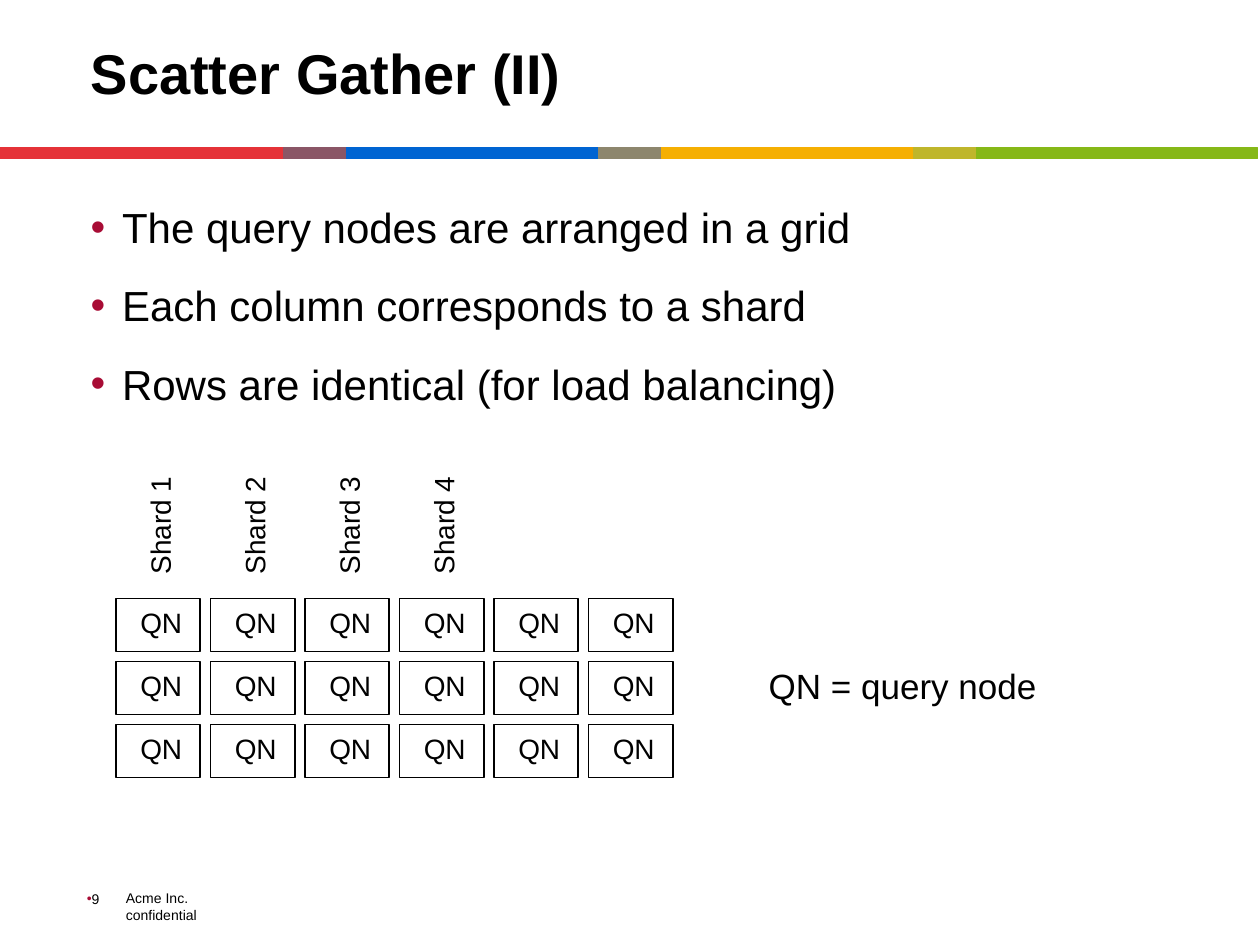
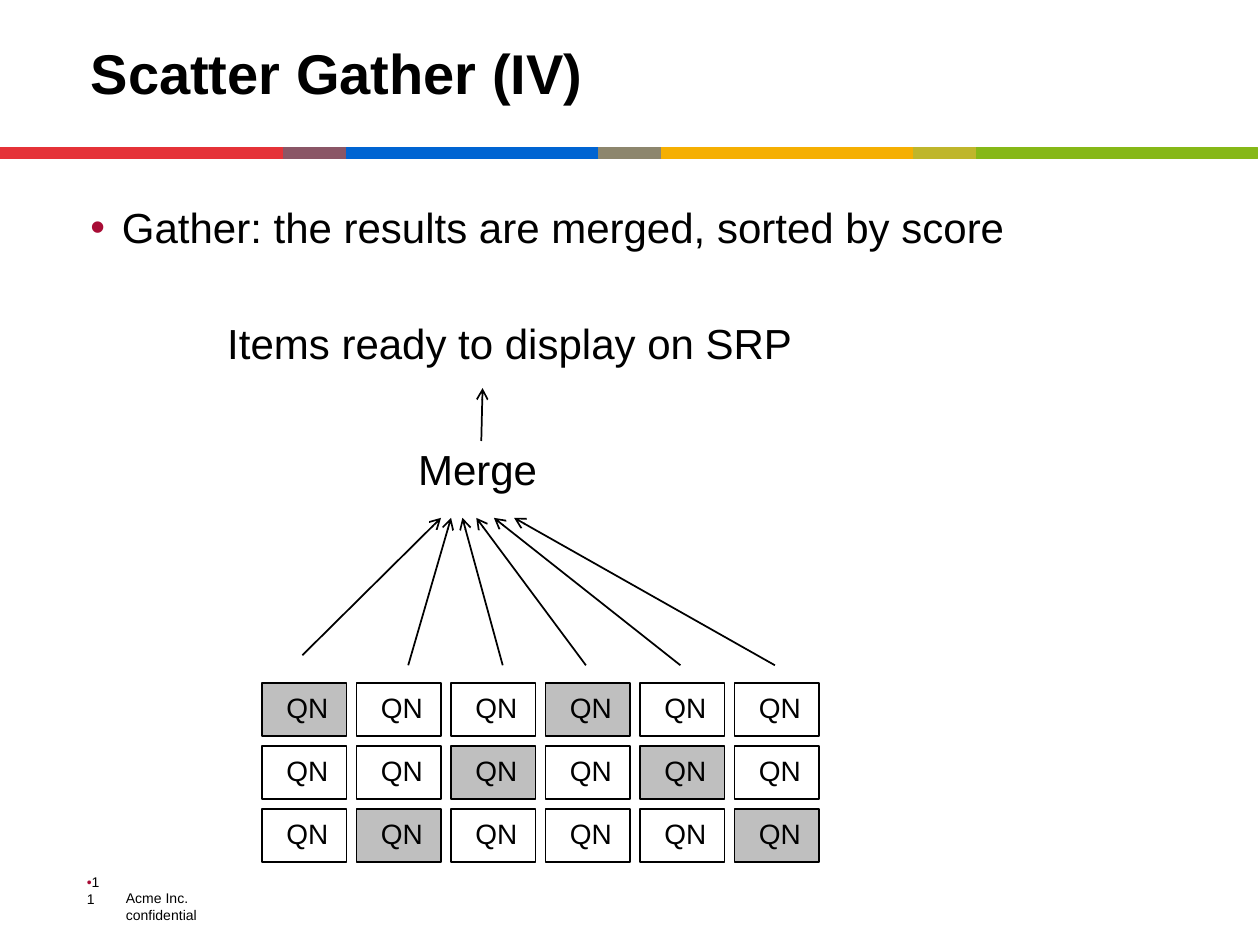
from lxml import etree
from pptx import Presentation
from pptx.dml.color import RGBColor
from pptx.enum import shapes, text
from pptx.oxml import ns
from pptx.util import Inches, Pt

FONT = "Arial"
COLORS = {
    "text": "000000", "bullet": "A80C35", "active": "BFBFBF",
    "red": "E53238", "plum": "8A5666", "blue": "0064D2", "taupe": "8D866D",
    "amber": "F5AF02", "olive": "BFB62B", "green": "86B817",
}
# Band segments: colour, left, width
BAND = [
    ("red", 0, 2.25), ("plum", 2.25, 0.5), ("blue", 2.75, 2.02),
    ("taupe", 4.75, 0.5), ("amber", 5.25, 2), ("olive", 7.25, 0.52),
    ("green", 7.75, 2.23),
]
LEFT, CENTER = text.PP_ALIGN.LEFT, text.PP_ALIGN.CENTER


def rgb(name):
    return RGBColor.from_string(COLORS[name])


class Deck:
    def __init__(self):
        self.prs = Presentation()
        self.prs.slide_width, self.prs.slide_height = Inches(10), Inches(7.5)
        self.s = None

    def slide(self, title, number):
        """Start a slide with the shared title, band and footer."""
        self.s = self.prs.slides.add_slide(self.prs.slide_layouts[5])
        self.text("Acme Inc. confidential", 0.9, 7.01, 1.19, 0.23, 8, align=LEFT, spacing=1)
        for color, left, width in BAND:
            self.box(left, 1.17, width, 0.09, fill=color, line=color, weight=0.75)
        self.title(title)
        tf = self.text(number, 0.59, 7, 0.35, 0.25, 8, align=LEFT, spacing=1, bullet=0)
        tf.vertical_anchor = text.MSO_ANCHOR.BOTTOM

    def title(self, words):
        sp = self.s.shapes.title
        sp.left, sp.top, sp.width, sp.height = map(Inches, (0.62, 0.12, 8.88, 0.79))
        tf = sp.text_frame
        tf.text = words
        tf.auto_size = text.MSO_AUTO_SIZE.NONE
        tf.vertical_anchor = text.MSO_ANCHOR.MIDDLE
        tf.margin_top, tf.margin_bottom = Inches(0.12), Inches(0.04)
        self.style(tf.paragraphs[0], 32, LEFT, 1.07, bold=True)

    def style(self, p, size, align, spacing, bold=False):
        p.alignment, p.line_spacing = align, spacing
        for r in p.runs:
            r.font.name, r.font.size, r.font.bold = FONT, Pt(size), bold
            r.font.color.rgb = rgb("text")

    def bullet(self, p, indent):
        pPr = p._p.get_or_add_pPr()
        pPr.set("marL", str(Inches(indent)))
        pPr.set("indent", str(-Inches(indent)))
        clr = etree.SubElement(pPr, ns.qn("a:buClr"))
        etree.SubElement(clr, ns.qn("a:srgbClr")).set("val", COLORS["bullet"])
        etree.SubElement(pPr, ns.qn("a:buFont")).set("typeface", FONT)
        etree.SubElement(pPr, ns.qn("a:buChar")).set("char", "•")

    def text(self, words, left, top, width, height, size,
             align=CENTER, spacing=0.95, bullet=None, wrap=True, rotation=0):
        sp = self.s.shapes.add_textbox(*map(Inches, (left, top, width, height)))
        sp.rotation = rotation
        tf = sp.text_frame
        tf.text = words
        tf.word_wrap = wrap
        for p in tf.paragraphs:
            if bullet is not None:
                self.bullet(p, bullet)
            self.style(p, size, align, spacing)
        return tf

    def bullets(self, lines, width, height):
        tf = self.text("\n".join(lines), 0.62, 1.5, width, height, 24,
                       align=LEFT, spacing=1.05, bullet=0.25)
        tf.margin_top = Inches(0.08)
        for p in tf.paragraphs[1:]:
            p.space_before = Pt(14.5)

    def box(self, left, top, width, height, fill=None, line="text", weight=1):
        sp = self.s.shapes.add_shape(shapes.MSO_SHAPE.RECTANGLE,
                                     *map(Inches, (left, top, width, height)))
        sp.shadow.inherit = False
        if fill:
            sp.fill.solid()
            sp.fill.fore_color.rgb = rgb(fill)
        else:
            sp.fill.background()
        sp.line.color.rgb, sp.line.width = rgb(line), Pt(weight)

    def node_grid(self, left, top, active=()):
        """Draw 3 rows of 6 query nodes; active holds (row, column) pairs."""
        for row in range(3):
            for col in range(6):
                x, y = left + 0.75 * col, top + 0.5 * row
                self.box(x, y, 0.67, 0.42, fill="active" if (row, col) in active else None)
                self.text("QN", x + 0.07, y + 0.03, 0.58, 0.36, 16)

    def arrow(self, tip, start):
        c = self.s.shapes.add_connector(shapes.MSO_CONNECTOR.STRAIGHT,
                                        *map(Inches, (*tip, *start)))
        c.line.color.rgb, c.line.width = rgb("text"), Pt(1)
        head = etree.SubElement(c.line._get_or_add_ln(), ns.qn("a:headEnd"))
        head.set("type", "arrow")
        etree.SubElement(c._element.spPr, ns.qn("a:effectLst"))


def main():
    deck = Deck()

    # Grid of query nodes
    deck.slide("Scatter Gather (II)", "9")
    deck.bullets(["The query nodes are arranged in a grid",
                  "Each column corresponds to a shard",
                  "Rows are identical (for load balancing)"], 8.88, 1.83)
    deck.node_grid(0.92, 4.75)
    for i in range(4):
        deck.text(f"Shard {i + 1}", 0.79 + 0.75 * i, 3.99, 0.99, 0.36, 16,
                  wrap=False, rotation=270)
    deck.text("QN = query node", 6, 5.25, 2.33, 0.42, 20)

    # Merging the results
    deck.slide("Scatter Gather (IV)", "11")
    deck.bullets(["Gather: the results are merged, sorted by score"], 9.04, 0.58)
    deck.node_grid(2.08, 5.42, {(0, 0), (2, 1), (1, 2), (0, 3), (1, 4), (2, 5)})
    deck.arrow((3.5, 4.11), (2.4, 5.2))
    for tip, start in [(3.58, 3.24), (3.67, 3.99), (3.78, 4.65), (3.92, 5.4), (4.08, 6.15)]:
        deck.arrow((tip, 4.11), (start, 5.28))
    deck.text("Items ready to display on SRP", 1.67, 2.5, 4.75, 0.49, 24)
    deck.text("Merge", 3, 3.5, 1.58, 0.49, 24)
    deck.arrow((3.83, 3.08), (3.82, 3.5))

    deck.prs.save("out.pptx")


if __name__ == "__main__":
    main()
